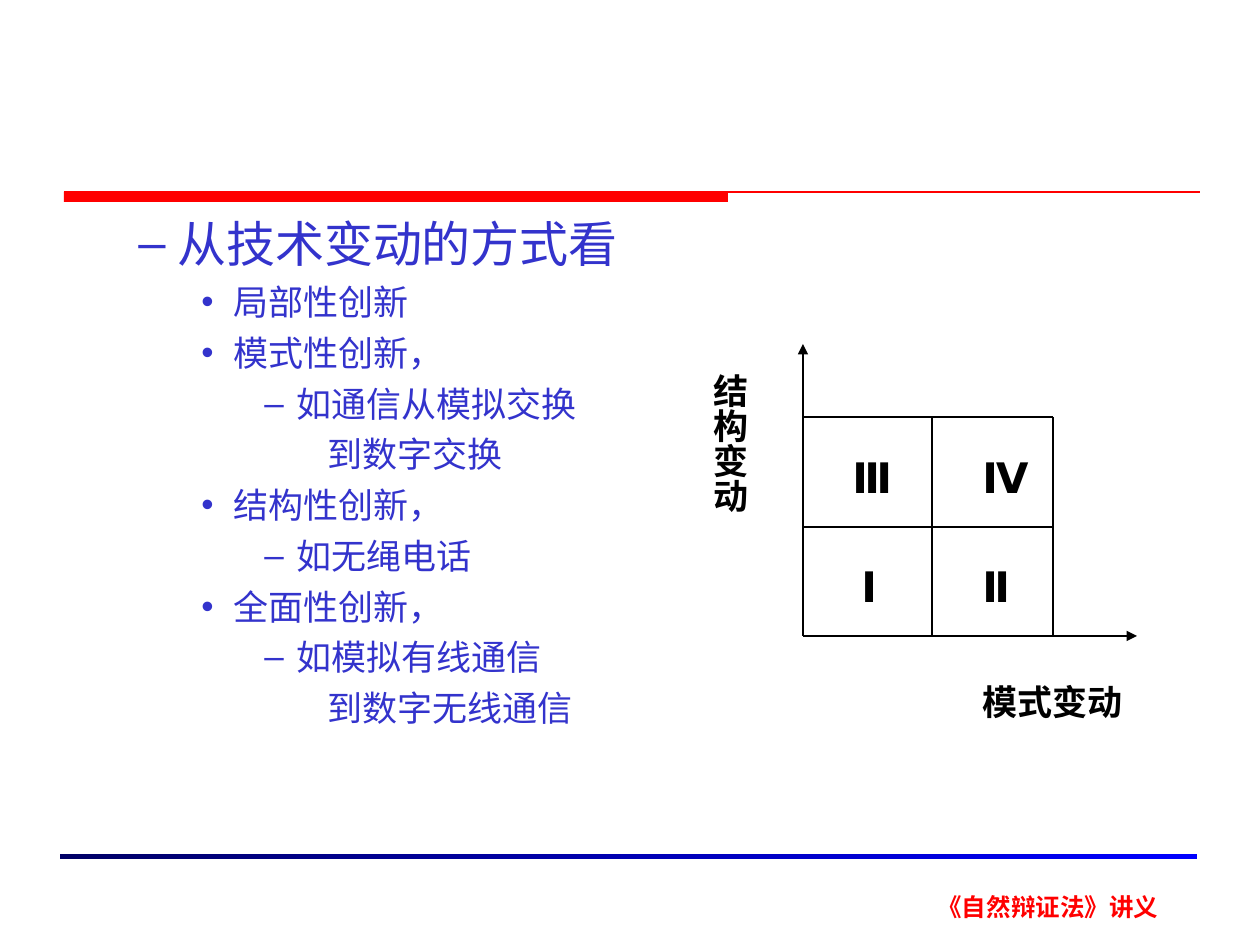
"""Build the slide on kinds of innovation by the way technology changes."""
from lxml.etree import SubElement
from pptx import Presentation
from pptx.dml.color import RGBColor
from pptx.enum.shapes import MSO_CONNECTOR, MSO_SHAPE
from pptx.enum.text import MSO_AUTO_SIZE, PP_ALIGN
from pptx.oxml.ns import qn
from pptx.util import Emu, Inches, Pt

PX = Inches(1) / 126
COLORS = {"text": "3333CC", "red": "FF0000", "black": "000000",
          "navy": "000066", "blue": "0000FF"}
LEVELS = {
    "heading": dict(size=28, before=7, margin=102, hang=39, bullet="–"),
    "kind": dict(size=20, before=5, margin=158, hang=32, bullet="•"),
    "example": dict(size=20, before=5, margin=221, hang=32, bullet="–"),
    "continued": dict(size=20, before=5, margin=252, hang=0, bullet=None),
}
OUTLINE = [
    ("heading", "从技术变动的方式看"),
    ("kind", "局部性创新"),
    ("kind", "模式性创新，"),
    ("example", "如通信从模拟交换"),
    ("continued", "到数字交换"),
    ("kind", "结构性创新，"),
    ("example", "如无绳电话"),
    ("kind", "全面性创新，"),
    ("example", "如模拟有线通信"),
    ("continued", "到数字无线通信"),
]
COLUMNS = (803, 932, 1053)
ROWS = (417, 527, 636)
AXIS_TOP, AXIS_RIGHT = 344, 1137
QUADRANTS = [("Ⅰ", 849, 554, 47), ("Ⅱ", 970, 554, 64),
             ("Ⅲ", 840, 445, 74), ("Ⅳ", 970, 445, 56)]

presentation = Presentation()
presentation.slide_width, presentation.slide_height = Inches(10), Inches(7.5)
slide = presentation.slides.add_slide(presentation.slide_layouts[6])


def px(value):
    return Emu(round(value * PX))


def color(name):
    return RGBColor.from_string(COLORS[name])


def add_text(paragraphs, box, *, font="Arial", ink="black", bold=False, wrap=True,
             align=PP_ALIGN.LEFT, vertical=False, fit=True):
    frame = slide.shapes.add_textbox(*map(px, box)).text_frame
    frame.word_wrap = wrap
    frame.auto_size = MSO_AUTO_SIZE.SHAPE_TO_FIT_TEXT if fit else MSO_AUTO_SIZE.NONE
    if vertical:
        frame.margin_left = frame.margin_right = Inches(0.05)
        frame.margin_top = frame.margin_bottom = Inches(0.1)
        frame._txBody.bodyPr.set("vert", "eaVert")
    for index, (words, level) in enumerate(paragraphs):
        paragraph = frame.add_paragraph() if index else frame.paragraphs[0]
        paragraph.alignment = align
        paragraph.space_before = Pt(level["before"])
        run = paragraph.add_run()
        run.text = words
        run.font.name, run.font.size, run.font.bold = font, Pt(level["size"]), bold
        run.font.color.rgb = color(ink)
        properties = paragraph._p.get_or_add_pPr()
        properties.set("marL", str(px(level.get("margin", 0))))
        properties.set("indent", str(-px(level.get("hang", 0))))
        if level.get("bullet"):
            tint = SubElement(properties, qn("a:buClr"))
            SubElement(tint, qn("a:srgbClr"), val=COLORS[ink])
            SubElement(properties, qn("a:buFont"), typeface=font)
            SubElement(properties, qn("a:buChar"), char=level["bullet"])


def add_line(x1, y1, x2, y2, ink="black", arrow=False):
    line = slide.shapes.add_connector(MSO_CONNECTOR.STRAIGHT, *map(px, (x1, y1, x2, y2)))
    line.line.color.rgb = color(ink)
    line.line.width = Pt(0.75)
    if arrow:
        SubElement(line.line._get_or_add_ln(), qn("a:tailEnd"), type="triangle")
    SubElement(line._element.spPr, qn("a:effectLst"))


def add_bar(*box):
    bar = slide.shapes.add_shape(MSO_SHAPE.RECTANGLE, *map(px, box))
    bar.shadow.inherit = False
    bar.line.fill.background()
    return bar.fill


add_text([("《自然辩证法》讲义", dict(size=14, before=0))], (925, 886, 246, 43),
         ink="red", bold=True, wrap=False, align=PP_ALIGN.CENTER)

title_bar = add_bar(64, 192, 664, 10)
title_bar.solid()
title_bar.fore_color.rgb = color("red")
add_line(64, 192, 1200, 192, ink="red")

footer_bar = add_bar(60, 854, 1137, 5)
footer_bar.gradient()
footer_bar.gradient_angle = 0
for stop, name in zip(footer_bar.gradient_stops, ("navy", "blue")):
    stop.color.rgb = color(name)

add_text([(words, LEVELS[level]) for level, words in OUTLINE], (63, 207, 1134, 645),
         ink="text", fit=False)

left, right, top, bottom = COLUMNS[0], COLUMNS[-1], ROWS[0], ROWS[-1]
add_line(left, bottom, left, AXIS_TOP, arrow=True)
add_line(left, bottom, AXIS_RIGHT, bottom, arrow=True)
for y in ROWS[:-1]:
    add_line(left, y, right, y)
for x in COLUMNS[1:]:
    add_line(x, top, x, bottom)

axis_label = dict(size=20, before=12.5)
add_text([("模式变动", axis_label)], (970, 674, 213, 55), font="Arial Narrow", bold=True)
add_text([("结构变动", axis_label)], (690, 361, 67, 202), font="Arial Narrow", bold=True,
         vertical=True)
for numeral, x, y, width in QUADRANTS:
    add_text([(numeral, dict(size=24, before=15))], (x, y, width, 63),
             font="Arial Narrow", bold=True)

presentation.save("out.pptx")
